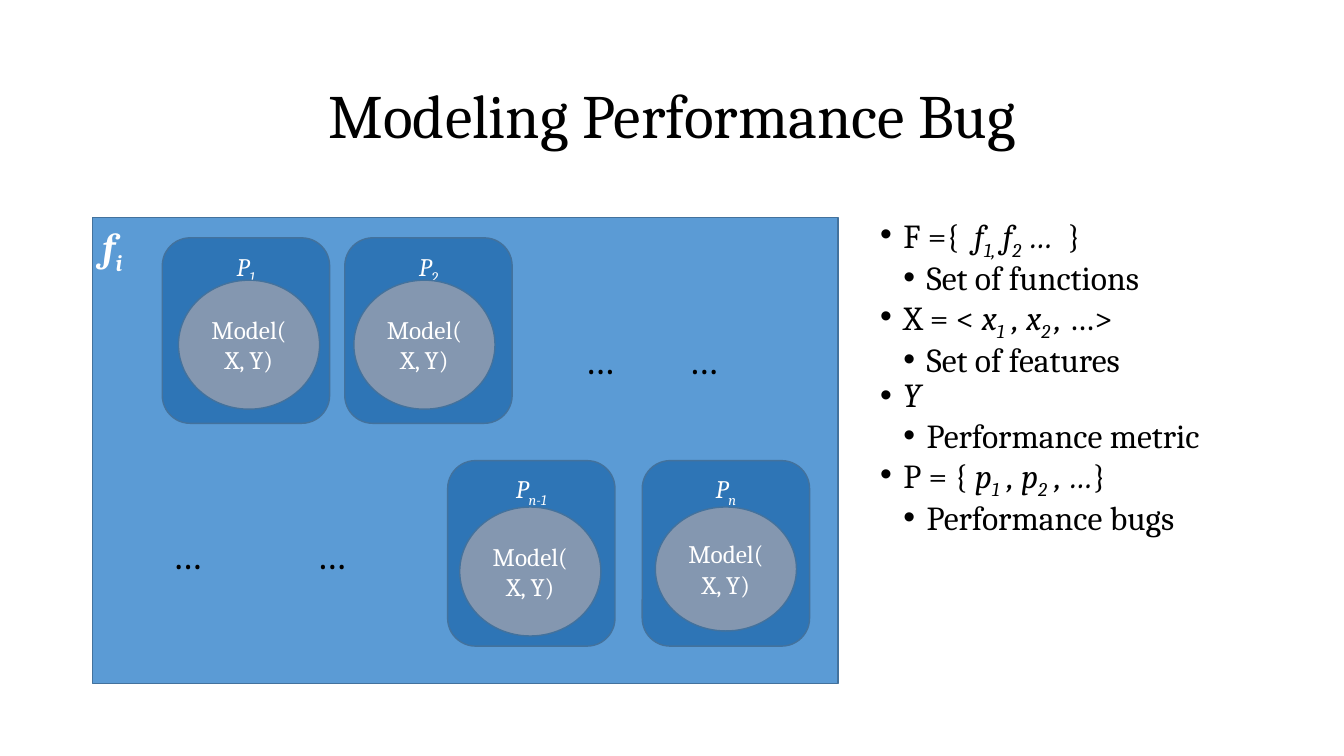
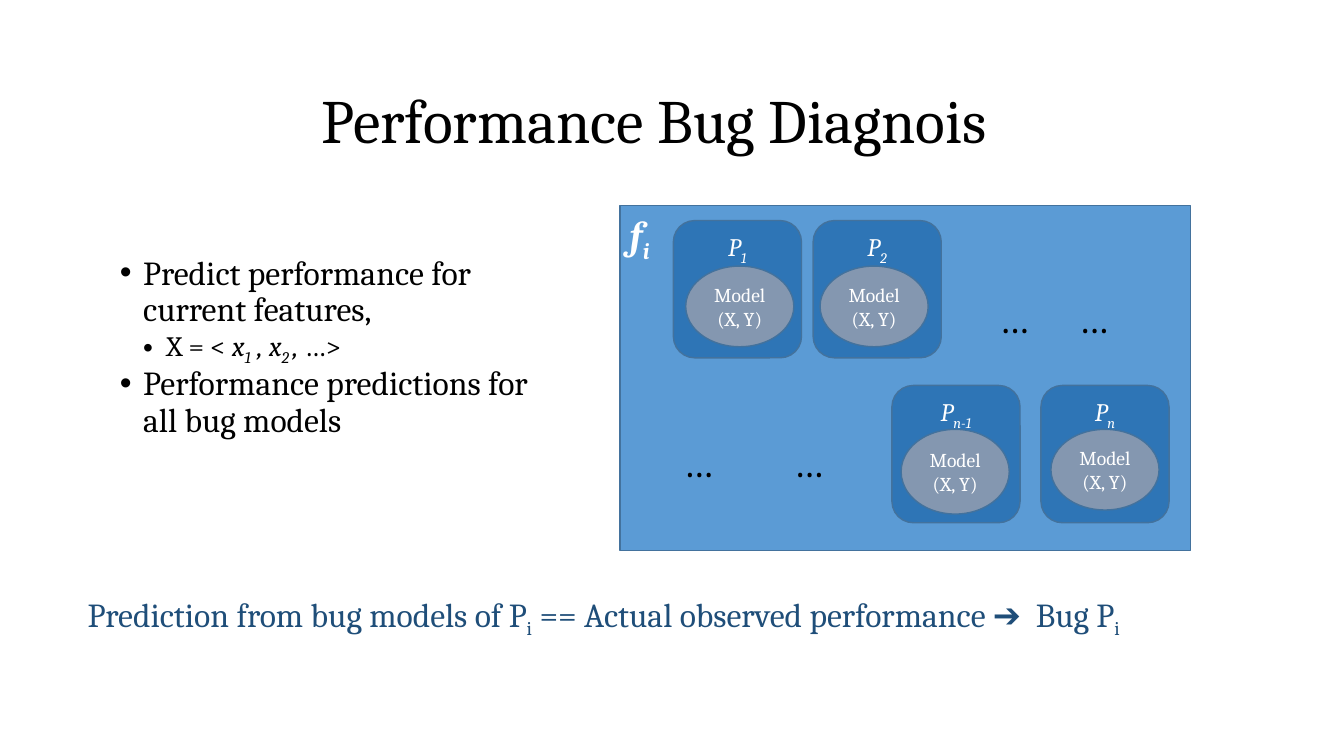
"""Build two slides on modeling and diagnosing performance bugs."""
from dataclasses import dataclass
from typing import NamedTuple

from lxml import etree
from pptx import Presentation
from pptx.dml.color import RGBColor
from pptx.enum.shapes import MSO_SHAPE
from pptx.enum.text import MSO_ANCHOR, MSO_AUTO_SIZE, PP_ALIGN
from pptx.oxml.ns import qn
from pptx.util import Inches, Pt

RECTANGLE, ROUNDED, OVAL = MSO_SHAPE.RECTANGLE, MSO_SHAPE.ROUNDED_RECTANGLE, MSO_SHAPE.OVAL
TOP, MIDDLE = MSO_ANCHOR.TOP, MSO_ANCHOR.MIDDLE
LEFT, CENTER = PP_ALIGN.LEFT, PP_ALIGN.CENTER
NO_FIT = MSO_AUTO_SIZE.NONE

BLACK = RGBColor(0x00, 0x00, 0x00)
WHITE = RGBColor(0xFF, 0xFF, 0xFF)
PANEL_BLUE = RGBColor(0x5B, 0x9B, 0xD5)
TILE_BLUE = RGBColor(0x2E, 0x75, 0xB6)
MODEL_GRAY = RGBColor(0x84, 0x97, 0xB0)
OUTLINE = RGBColor(0x43, 0x72, 0x9D)
CONCLUSION_BLUE = RGBColor(0x1F, 0x4E, 0x79)
FONT = "Cambria"
BULLET_FONT = "Arial"
HANGING = Inches(0.23)


class Span(NamedTuple):
    """A stretch of text with its own style."""
    text: str
    italic: bool = False
    subscript: bool = False
    font: str | None = None


class Bullet(NamedTuple):
    """One list entry."""
    spans: list[Span]
    level: int = 0
    size: int = 24


class Box(NamedTuple):
    """A position and size in inches."""
    left: float
    top: float
    width: float
    height: float


class Bug(NamedTuple):
    """A bug tile and the model inside it, on the reference panel."""
    label: str
    left: float
    row: int
    model_left: float


@dataclass(frozen=True)
class Panel:
    """A function panel, its model rows and model text size."""
    box: Box
    model_tops: tuple[float, float]
    model_heights: tuple[float, float, float, float]
    model_size: int

    def place(self, box: Box) -> Box:
        """Scale a box from the reference panel to this one."""
        across = self.box.width / REFERENCE.width
        down = self.box.height / REFERENCE.height
        return Box(self.box.left + (box.left - REFERENCE.left) * across,
                   self.box.top + (box.top - REFERENCE.top) * down,
                   box.width * across, box.height * down)


REFERENCE = Box(0.92, 2.16, 7.39, 4.62)
TILE_TOPS = (2.36, 4.57)
BUGS = [Bug("1", 1.61, 0, 1.77), Bug("2", 3.42, 0, 3.51),
        Bug("n-1", 4.44, 1, 4.56), Bug("n", 6.37, 1, 6.5)]
ELLIPSES = [(5.7, 3.28), (6.73, 3.28), (1.61, 5.21), (3.04, 5.21)]

FEATURES = [Span("X = < "), Span("x", True), Span("1", True, True), Span(" , x", True),
            Span("2 ", True, True), Span(",", True), Span(" …>")]
DEFINITIONS = [
    Bullet([Span("F ={  "), Span("f", True), Span("1,", True, True), Span(" f", True),
            Span("2", True, True), Span(" …  ", True), Span("}")]),
    Bullet([Span("Set of functions")], 1),
    Bullet(FEATURES),
    Bullet([Span("Set of features")], 1),
    Bullet([Span("Y", True)]),
    Bullet([Span("Performance metric")], 1),
    Bullet([Span("P = { "), Span("p", True), Span("1", True, True), Span(" , p", True),
            Span("2", True, True), Span(" , …", True), Span("}")]),
    Bullet([Span("Performance bugs")], 1),
]
DIAGNOSIS = [
    Bullet([Span("Predict performance for current features,")]),
    Bullet(FEATURES, 1, 20),
    Bullet([Span("Performance predictions for all bug models")]),
]
CONCLUSION = [Span("Prediction from bug models of P"), Span("i", subscript=True),
              Span(" == Actual observed performance "), Span("➔", font="Arial"),
              Span("  Bug P"), Span("i", subscript=True)]


def lengths(box: Box) -> tuple:
    """Convert a box to slide lengths."""
    return tuple(Inches(value) for value in box)


def write(para, spans: list[Span], size: int, color: RGBColor, align=LEFT,
          bold: bool = False) -> None:
    """Fill a paragraph with styled spans."""
    para.alignment = align
    para.space_before = Pt(0)
    font = para.font
    font.name, font.size, font.bold = FONT, Pt(size), bold
    font.color.rgb = color
    all_italic = all(span.italic for span in spans)
    if all_italic:
        font.italic = True
    for span in spans:
        run = para.add_run()
        run.text = span.text
        if span.italic and not all_italic:
            run.font.italic = True
        if span.font:
            run.font.name = span.font
        if span.subscript:
            run.font._element.set("baseline", "-25000")


def add_bullet(para, bullet: Bullet) -> None:
    """Write one bulleted paragraph with a hanging indent."""
    para.level = bullet.level
    para.line_spacing = 1.0 if bullet.level else 0.9
    properties = para._p.get_or_add_pPr()
    properties.set("marL", str(HANGING * (bullet.level + 1)))
    properties.set("indent", str(-HANGING))
    etree.SubElement(properties, qn("a:buFont")).set("typeface", BULLET_FONT)
    etree.SubElement(properties, qn("a:buChar")).set("char", "•")
    write(para, bullet.spans, bullet.size, BLACK)


def move(placeholder, box: Box, anchor) -> None:
    """Position a placeholder and fix its text size."""
    placeholder.left, placeholder.top, placeholder.width, placeholder.height = lengths(box)
    frame = placeholder.text_frame
    frame.auto_size, frame.vertical_anchor, frame.word_wrap = NO_FIT, anchor, True


def add_page(deck, title: str, title_box: Box, bullets: list[Bullet], body_box: Box):
    """Add a slide with its title and list."""
    page = deck.slides.add_slide(deck.slide_layouts[1])
    heading, body = page.placeholders
    move(heading, title_box, MIDDLE)
    write(heading.text_frame.paragraphs[0], [Span(title)], 44, BLACK, CENTER)
    move(body, body_box, TOP)
    frame = body.text_frame
    for index, bullet in enumerate(bullets):
        add_bullet(frame.add_paragraph() if index else frame.paragraphs[0], bullet)
    return page


def add_figure(page, kind, box: Box, fill: RGBColor, spans: list[Span], size: int,
               anchor=TOP, align=CENTER, bold: bool = False) -> None:
    """Draw a filled, outlined shape with text."""
    shape = page.shapes.add_shape(kind, *lengths(box))
    shape.shadow.inherit = False
    shape.fill.solid()
    shape.fill.fore_color.rgb = fill
    shape.line.color.rgb = OUTLINE
    shape.line.width = Pt(1)
    frame = shape.text_frame
    frame.word_wrap, frame.vertical_anchor = True, anchor
    write(frame.paragraphs[0], spans, size, WHITE, align, bold)


def add_text(page, box: Box, spans: list[Span], size: int, color: RGBColor) -> None:
    """Add a plain text box."""
    frame = page.shapes.add_textbox(*lengths(box)).text_frame
    frame.word_wrap = True
    write(frame.paragraphs[0], spans, size, color)


def add_panel(page, panel: Panel) -> None:
    """Draw a function panel with bug tiles, ellipses and models."""
    add_figure(page, RECTANGLE, panel.box, PANEL_BLUE,
               [Span("f", True), Span("i", True, True)], 28, align=LEFT, bold=True)
    for bug in BUGS:
        tile = panel.place(Box(bug.left, TILE_TOPS[bug.row], 1.66, 1.84))
        add_figure(page, ROUNDED, tile, TILE_BLUE,
                   [Span("P", True), Span(bug.label, True, True)], 18)
    for left, top in ELLIPSES:
        spot = panel.place(Box(left, top, 0, 0))
        add_text(page, Box(spot.left, spot.top, 0.59, 0.57), [Span("…")], 28, BLACK)
    for bug, height in zip(BUGS, panel.model_heights):
        spot = panel.place(Box(bug.model_left, 0, 1.4, 0))
        model = Box(spot.left, panel.model_tops[bug.row], spot.width, height)
        add_figure(page, OVAL, model, MODEL_GRAY, [Span("Model(X, Y)")],
                   panel.model_size, MIDDLE)


def main() -> None:
    """Build and save the deck."""
    deck = Presentation()
    deck.slide_width, deck.slide_height = Inches(13.33), Inches(7.5)

    modeling = add_page(deck, "Modeling Performance Bug", Box(0.92, 0.4, 11.5, 1.45),
                        DEFINITIONS, Box(8.63, 2.09, 4.46, 4.76))
    add_panel(modeling, Panel(REFERENCE, (2.78, 5.03), (1.28, 1.28, 1.28, 1.23), 18))

    diagnosis = add_page(deck, "Performance Bug Diagnois", Box(0.74, 0.45, 11.5, 1.45),
                         DIAGNOSIS, Box(1.09, 2.49, 4.46, 3.01))
    add_panel(diagnosis, Panel(Box(6.15, 2.04, 5.66, 3.42), (2.64, 4.26),
                               (0.8, 0.8, 0.84, 0.8), 14))
    add_text(diagnosis, Box(0.77, 5.84, 11.5, 0.55), CONCLUSION, 24, CONCLUSION_BLUE)
    deck.save("out.pptx")


if __name__ == "__main__":
    main()
